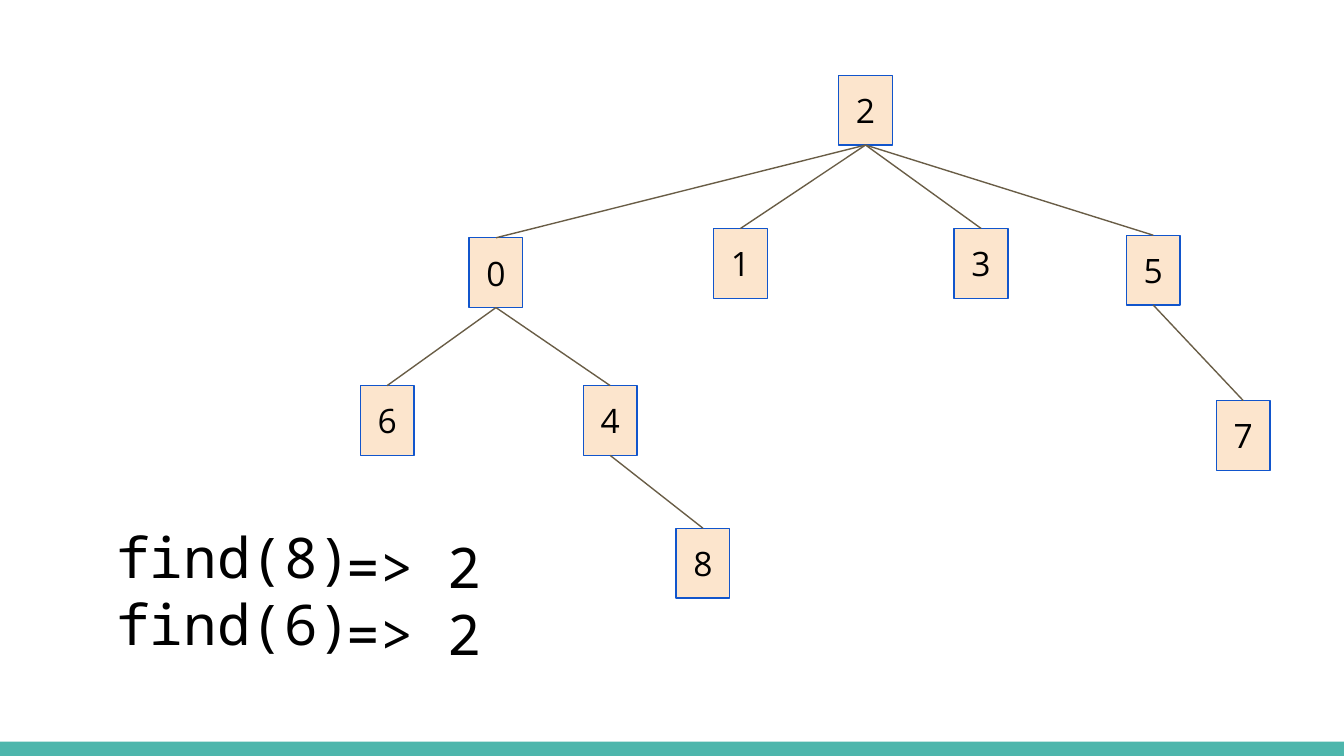
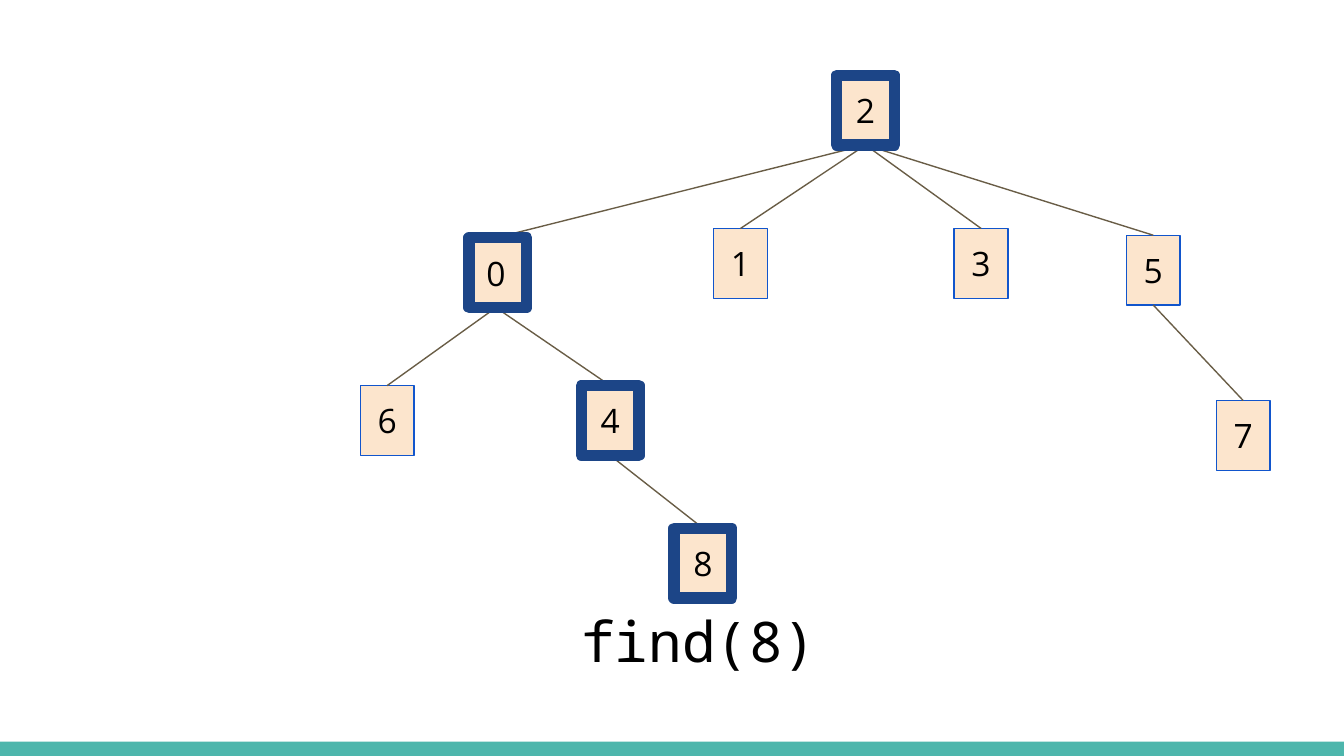
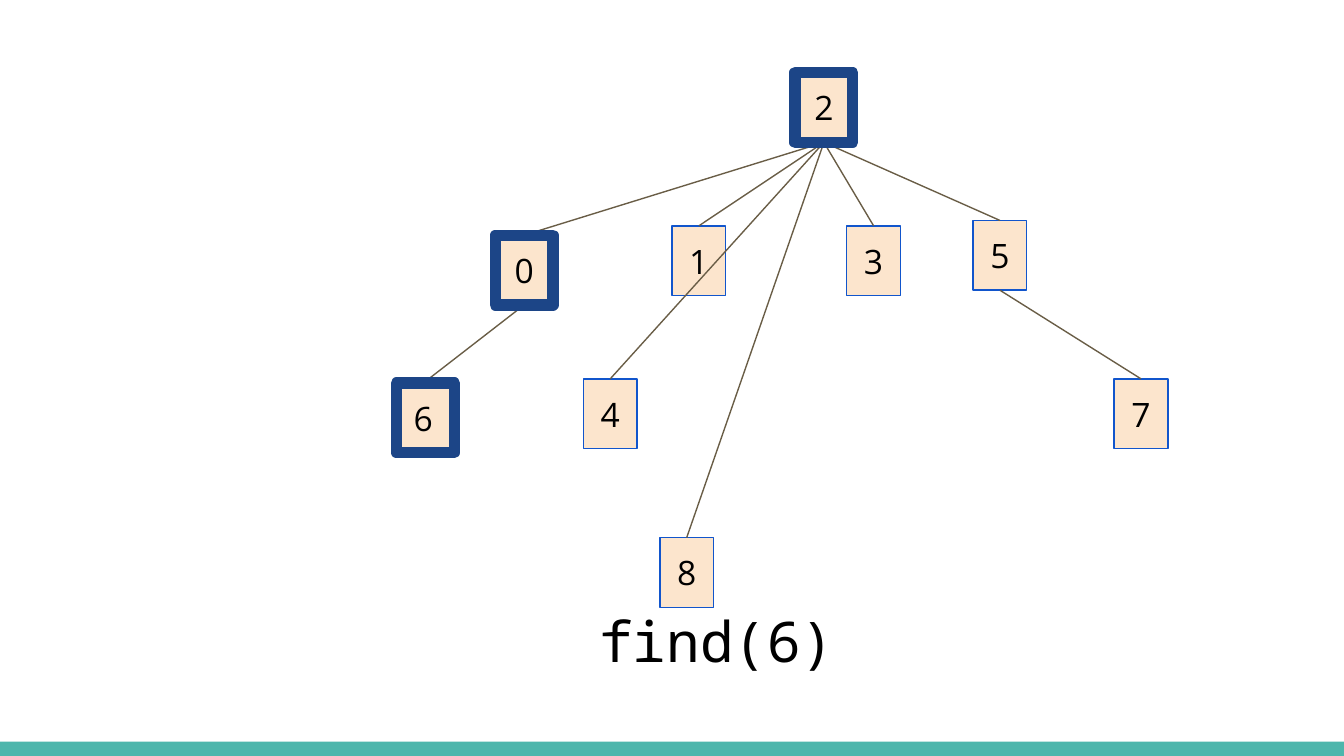
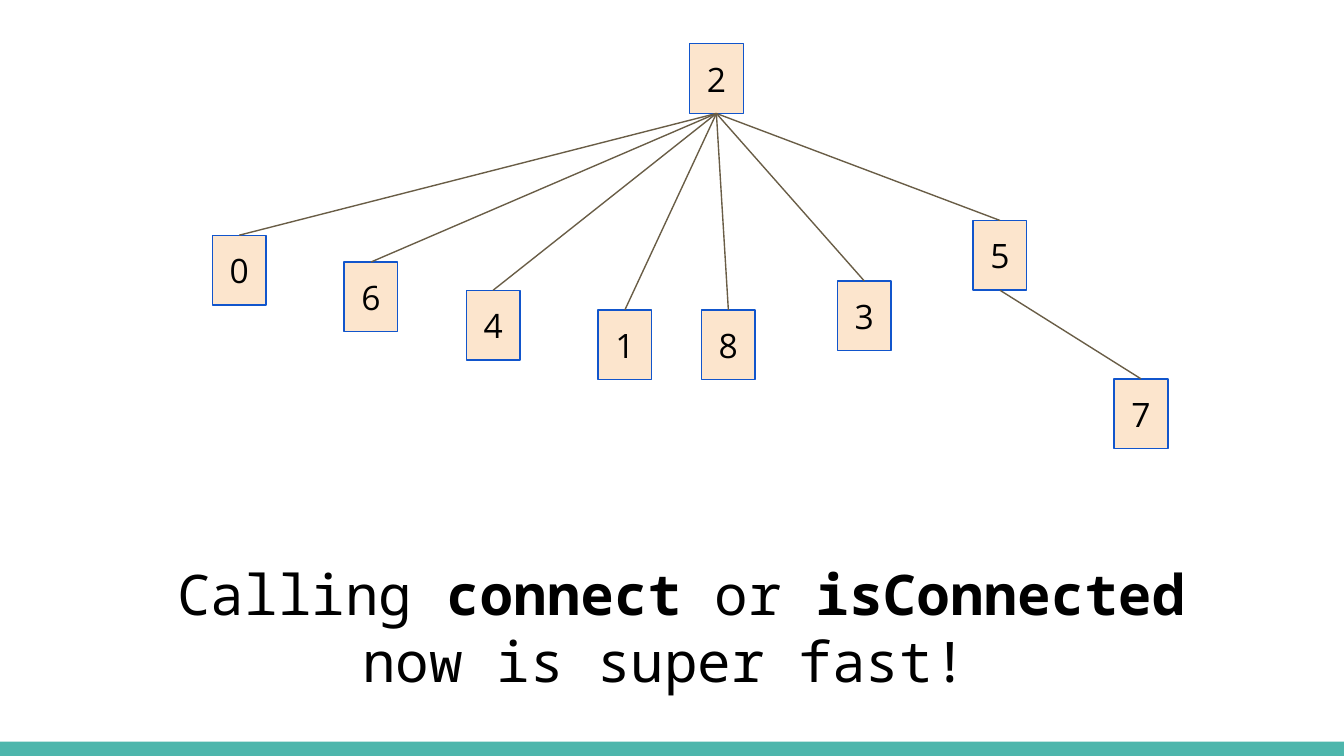
from dataclasses import dataclass

from pptx import Presentation
from pptx.dml.color import RGBColor
from pptx.enum.shapes import MSO_CONNECTOR, MSO_SHAPE
from pptx.enum.text import MSO_ANCHOR, PP_ALIGN
from pptx.oxml.ns import qn
from pptx.util import Pt
from lxml.etree import SubElement


@dataclass(frozen=True)
class Theme:
    # Colours
    ink: str = "000000"
    band: str = "4DB6AC"
    node: str = "FCE5CD"
    rim: str = "1155CC"
    edge: str = "695D46"
    mark: str = "1C4587"
    # Type
    sans: str = "Open Sans"
    mono: str = "Noto Sans Mono"
    label: int = 18
    code: int = 30
    # Lines and sizes
    thin: float = 0.75
    thick: float = 6
    wide: float = 28.8
    tall: float = 37.4
    frame: float = 31
    inset: float = 7.2


class Deck:
    def __init__(self, theme, width, height):
        self.theme = theme
        self.width, self.height = width, height
        self.prs = Presentation()
        self.prs.slide_width, self.prs.slide_height = Pt(width), Pt(height)
        self.slide = None

    def page(self):
        """Start a slide with the band at its foot."""
        self.slide = self.prs.slides.add_slide(self.prs.slide_layouts[6])
        self.rect(0, self.height - 7.7, self.width, 7.7, self.theme.band)

    def rect(self, x, y, w, h, fill=None, line=None, weight=0):
        box = self.slide.shapes.add_shape(
            MSO_SHAPE.RECTANGLE, Pt(x), Pt(y), Pt(w), Pt(h))
        box.shadow.inherit = False
        if fill:
            box.fill.solid()
            box.fill.fore_color.rgb = RGBColor.from_string(fill)
        else:
            box.fill.background()
        if line:
            box.line.color.rgb = RGBColor.from_string(line)
            box.line.width = Pt(weight)
        else:
            box.line.fill.background()
        return box

    def label(self, shape, lines, font, size, anchor):
        """Fill a shape; each line is a list of (text, bold) runs."""
        frame = shape.text_frame
        frame.word_wrap = True
        frame.vertical_anchor = anchor
        inset = Pt(self.theme.inset)
        frame.margin_left = frame.margin_right = inset
        frame.margin_top = frame.margin_bottom = inset
        for i, line in enumerate(lines):
            para = frame.add_paragraph() if i else frame.paragraphs[0]
            para.alignment = PP_ALIGN.CENTER
            para.font.name, para.font.size = font, Pt(size)
            para.font.color.rgb = RGBColor.from_string(self.theme.ink)
            for text, bold in line:
                run = para.add_run()
                run.text = text
                if bold:
                    run.font.bold = True

    def code(self, x, y, w, h, *lines):
        box = self.slide.shapes.add_textbox(Pt(x), Pt(y), Pt(w), Pt(h))
        self.label(box, lines, self.theme.mono, self.theme.code, MSO_ANCHOR.TOP)

    def node(self, x, y, name):
        t = self.theme
        box = self.rect(x, y, t.wide, t.tall, t.node, t.rim, t.thin)
        self.label(box, [plain(name)], t.sans, t.label, MSO_ANCHOR.MIDDLE)
        return box

    def edge(self, top, low):
        """Join the bottom of a parent to the top of its child."""
        line = self.slide.shapes.add_connector(MSO_CONNECTOR.STRAIGHT, 0, 0, 0, 0)
        line.begin_connect(top, 2)
        line.end_connect(low, 0)
        line.line.color.rgb = RGBColor.from_string(self.theme.edge)
        line.line.width = Pt(self.theme.thin)
        SubElement(line._element.spPr, qn("a:effectLst"))

    def tree(self, spots, edges, marks="", flush=""):
        """Draw nodes, edges, then frames: centred, or flush at the left."""
        t = self.theme
        nodes = {name: self.node(*spot, name) for name, spot in spots.items()}
        for top, low in edges.split():
            self.edge(nodes[top], nodes[low])
        for name in marks + flush:
            x, y = spots[name]
            shift = 0 if name in flush else (t.frame - t.wide) / 2
            self.rect(x - shift, y, t.frame, t.tall, None, t.mark, t.thick)


# Node places
DEEP = {
    "1": (382.3, 122.4), "2": (449.3, 40.3), "3": (511.2, 122.4),
    "4": (312.5, 206.6), "5": (603.4, 126), "6": (193, 206.6),
    "8": (362.2, 283), "7": (651.6, 214.6), "0": (251.3, 127.4),
}
HALF = {
    "1": (360, 121), "2": (427, 38.9), "3": (453.6, 121),
    "4": (312.5, 203), "5": (521.3, 118.1), "6": (212.4, 205.2),
    "8": (353.5, 288), "0": (266.4, 126), "7": (596.9, 203),
}
FLAT = {
    "1": (320.4, 166), "2": (369.4, 23.4), "3": (448.6, 150.5),
    "4": (249.8, 155.5), "5": HALF["5"], "6": (184.3, 140.4),
    "8": (375.8, 166), "0": (113.8, 126), "7": HALF["7"],
}

# Edges, parent then child
BASE = "20 21 23 25 57 "
LONG = BASE + "06 04 48"


def plain(text):
    return [(text, False)]


def main():
    deck = Deck(Theme(), 720, 405)

    # Slide 1: the tree and both results
    deck.page()
    deck.tree(DEEP, LONG)
    deck.code(125.3, 277.9, 193, 57.6, plain("=> 2"), plain("=> 2"))
    deck.code(28.8, 272.9, 193, 57.6, plain("find(8)"), plain("find(6)"))

    # Slide 2: the path from 8 to the root
    deck.page()
    deck.tree(DEEP, LONG, marks="842", flush="0")
    deck.code(277.9, 317.5, 193, 57.6, plain("find(8)"))

    # Slide 3: the path from 6 to the root
    deck.page()
    deck.tree(HALF, BASE + "06 24 28", marks="02", flush="6")
    deck.code(277.9, 317.5, 212.4, 57.6, plain("find(6)"))

    # Slide 4: the flat tree
    deck.page()
    deck.tree(FLAT, BASE + "26 24 28")
    deck.code(80.6, 292.3, 568.8, 99.4, [
        ("Calling ", False), ("connect", True), (" or ", False),
        ("isConnected", True), (" now is super fast! ", False)])

    deck.prs.save("out.pptx")


if __name__ == "__main__":
    main()
